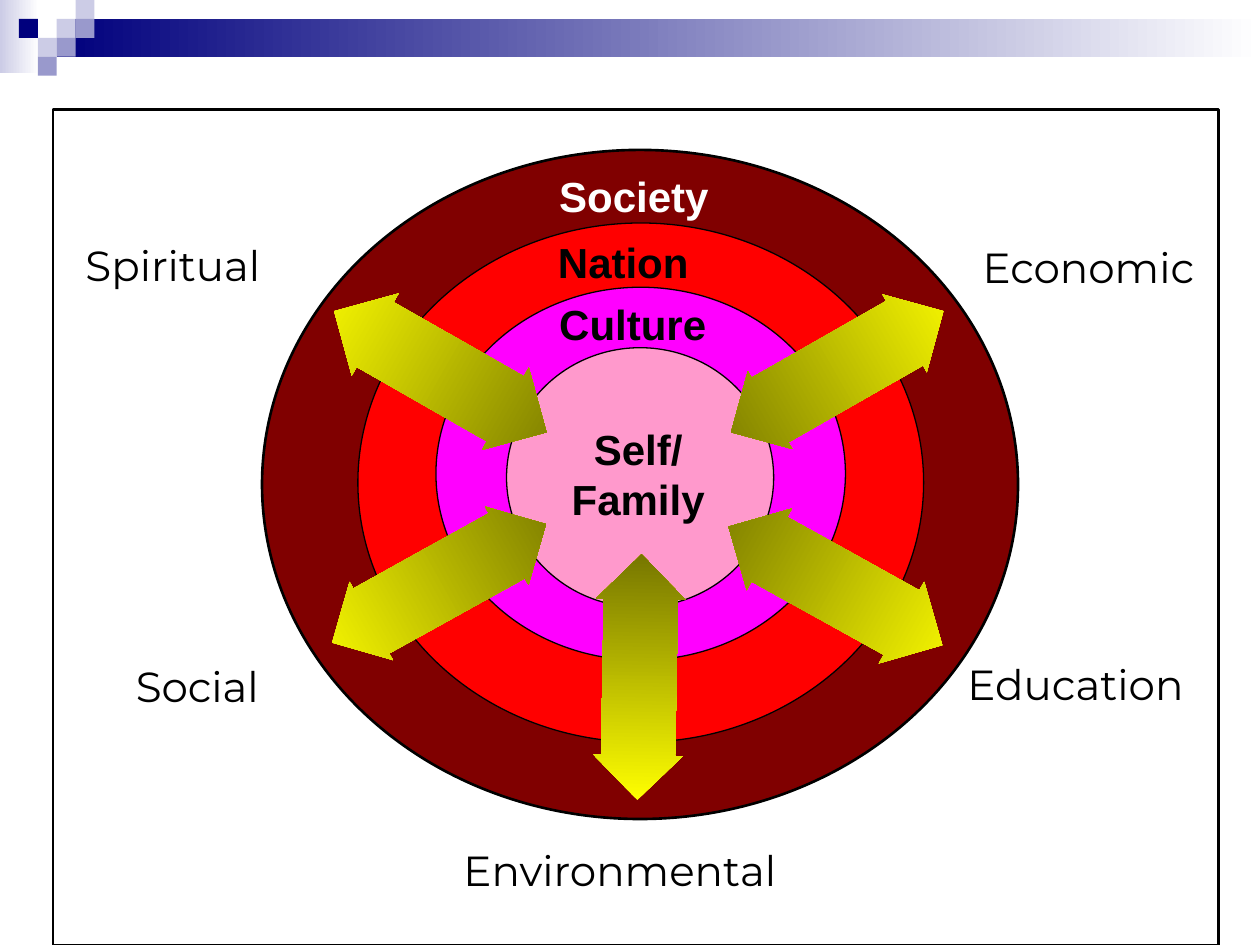
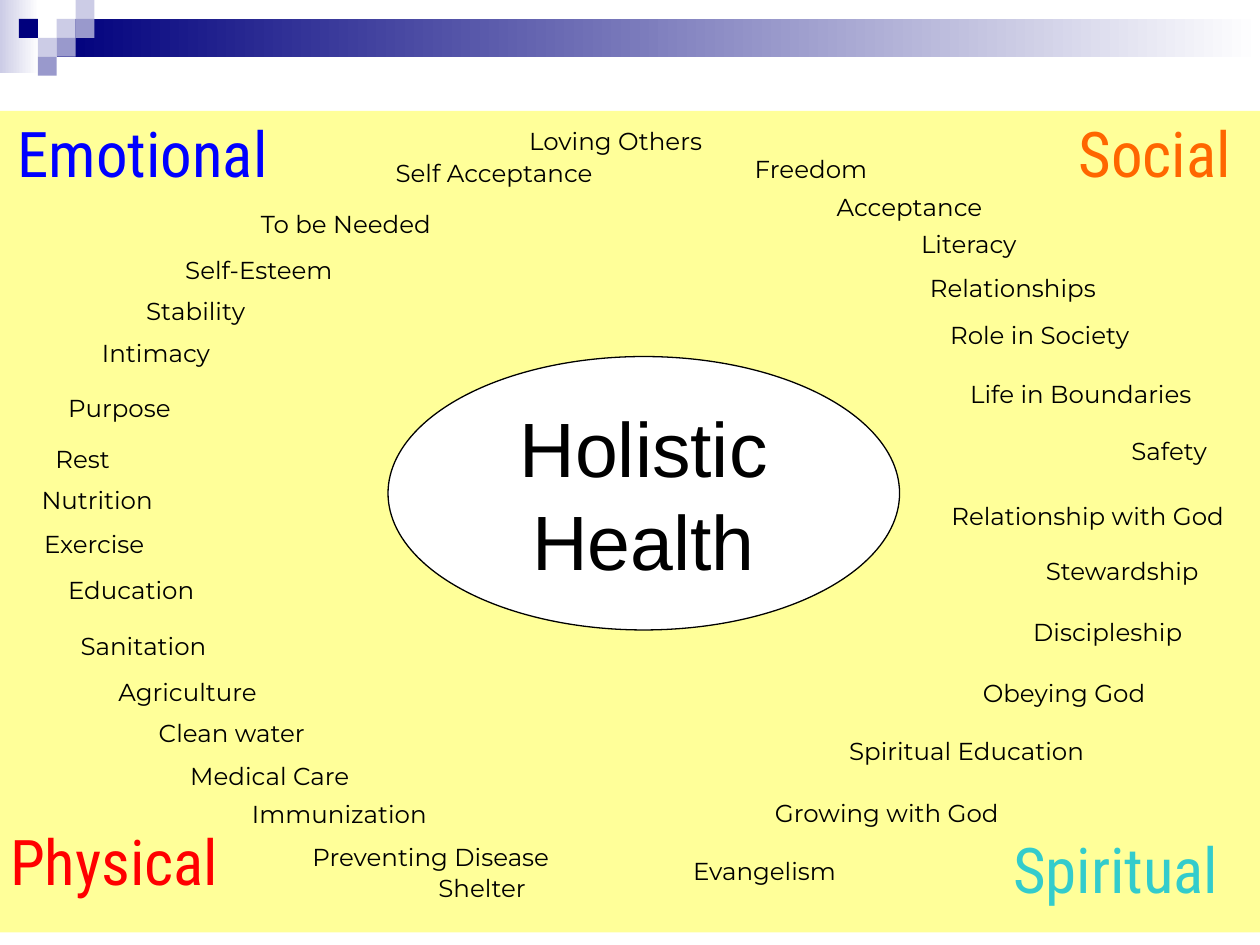
from dataclasses import dataclass

from pptx import Presentation
from pptx import util as u
from pptx.dml.color import RGBColor
from pptx.enum import shapes, text

PX = 9144  # EMU per px, 100 px to the inch
SLIDE_SIZE = (1000, 750)


@dataclass(frozen=True)
class Theme:
    black: str = "000000"
    white: str = "FFFFFF"
    navy: str = "00007D"
    lavender: str = "CCCCE6"
    periwinkle: str = "9999CC"
    maroon: str = "800000"
    red: str = "FF0000"
    magenta: str = "FF00FF"
    pink: str = "FF99CC"
    yellow: str = "FFFF00"
    olive: str = "767600"
    cream: str = "FFFF99"
    blue: str = "0000FF"
    orange: str = "FF6600"
    teal: str = "33CCCC"
    body_font: str = "Montserrat"
    heading_font: str = "Roboto Condensed"
    ring_font: str = "Arial"
    word_size: int = 14
    label_size: int = 24
    heading_size: int = 36
    centre_size: int = 44
    thin: float = 0.75
    thick: float = 1.5


THEME = Theme()
WIDE_INSETS = (10, 5)
TIGHT_INSETS = (6, 3)

# Column, row and colour of each square beside the band
BAND_SQUARES = [
    (3, 1, THEME.lavender), (4, 0, THEME.lavender), (4, 1, THEME.periwinkle),
    (2, 2, THEME.lavender), (1, 1, THEME.navy), (3, 2, THEME.periwinkle),
    (2, 3, THEME.periwinkle),
]

RINGS = [
    ((208, 119, 600, 531), THEME.maroon, THEME.thick),
    ((284, 177, 449, 412), THEME.red, THEME.thin),
    ((346, 228, 325, 296), THEME.magenta, THEME.thin),
    ((402, 276, 212, 206), THEME.pink, THEME.thin),
]
RING_LABELS = [
    ("Culture", (434, 232, 146, 41), THEME.black),
    ("Nation", (433, 183, 147, 39), THEME.black),
    ("Society", (434, 130, 146, 38), THEME.white),
]
INFLUENCES = [
    ("Spiritual", (58, 185, 192, 55)),
    ("Social", (98, 519, 144, 56)),
    ("Environmental", (358, 665, 297, 41)),
    ("Education", (758, 518, 209, 59)),
    ("Economic", (770, 187, 205, 48)),
]
# Box, rotation towards the outside, head length
ARROWS = [
    ((312, 198, 75, 194), 299.7, 0.79),
    ((626, 368, 74, 194), 119, 0.79),
    ((629, 198, 71, 194), 60.3, 0.83),
    ((313, 366, 71, 194), 241, 0.83),
    ((472, 440, 71, 195), 181, 0.83),
]

HEADINGS = [
    ("Emotional", (8, 88, 308, 62), THEME.blue),
    ("Social", (850, 88, 150, 80), THEME.orange),
    ("Spiritual", (798, 656, 202, 80), THEME.teal),
    ("Physical", (2, 650, 302, 80), THEME.red),
]
WORD_HEIGHT = 45
# Word, left, top, width
HEALTH_WORDS = [
    ("Loving Others", 414, 97, 187),
    ("Self Acceptance", 308, 122, 219),
    ("To be Needed", 201, 163, 219),
    ("Self-Esteem", 141, 199, 168),
    ("Stability", 110, 232, 129),
    ("Intimacy", 75, 265, 120),
    ("Purpose", 48, 309, 131),
    ("Rest", 38, 349, 89),
    ("Nutrition", 27, 382, 134),
    ("Exercise", 29, 417, 157),
    ("Education", 48, 453, 222),
    ("Sanitation", 58, 498, 134),
    ("Agriculture", 88, 534, 174),
    ("Clean water", 120, 567, 171),
    ("Medical Care", 145, 601, 158),
    ("Immunization", 194, 631, 164),
    ("Preventing Disease", 242, 665, 225),
    ("Shelter", 342, 690, 134),
    ("Freedom", 593, 119, 134),
    ("Acceptance", 658, 149, 173),
    ("Literacy", 725, 179, 122),
    ("Relationships", 732, 214, 160),
    ("Role in Society", 748, 251, 202),
    ("Life in Boundaries", 764, 298, 211),
    ("Safety", 892, 343, 93),
    ("Relationship with God", 749, 395, 251),
    ("Stewardship", 824, 438, 164),
    ("Discipleship", 814, 487, 169),
    ("Obeying God", 774, 535, 193),
    ("Spiritual Education", 668, 581, 240),
    ("Growing with God", 609, 630, 212),
    ("Evangelism", 544, 676, 148),
]


def emu(box):
    return [u.Emu(length * PX) for length in box]


def colour(value):
    return RGBColor.from_string(value)


def add_figure(parent, kind, box, fill, line_width=None):
    """Add a preset shape; a pair of colours as fill makes a gradient."""
    shape = parent.shapes.add_shape(kind, *emu(box))
    shape.shadow.inherit = False
    if isinstance(fill, tuple):
        shape.fill.gradient()
        for stop, value in zip(shape.fill.gradient_stops, fill):
            stop.color.rgb = colour(value)
    else:
        shape.fill.solid()
        shape.fill.fore_color.rgb = colour(fill)
    if line_width:
        shape.line.color.rgb = colour(THEME.black)
        shape.line.width = u.Pt(line_width)
    else:
        shape.line.fill.background()
    return shape


def write(shape, lines, font, size, ink=THEME.black, bold=False,
          insets=WIDE_INSETS, align=text.PP_ALIGN.LEFT,
          anchor=text.MSO_ANCHOR.TOP):
    frame = shape.text_frame
    frame.word_wrap = True
    frame.vertical_anchor = anchor
    frame.margin_left = frame.margin_right = u.Emu(insets[0] * PX)
    frame.margin_top = frame.margin_bottom = u.Emu(insets[1] * PX)
    paragraph = frame.paragraphs[0]
    paragraph.alignment = align
    for index, line in enumerate(lines):
        if index:
            paragraph.add_line_break()
        run = paragraph.add_run()
        run.text = line
        run.font.name = font
        run.font.size = u.Pt(size)
        run.font.bold = bold
        run.font.color.rgb = colour(ink)


def add_label(slide, label, box, font, size, **style):
    write(slide.shapes.add_textbox(*emu(box)), [label], font, size, **style)


def add_arrow(slide, box, rotation, head_length):
    arrow = add_figure(slide, shapes.MSO_SHAPE.UP_DOWN_ARROW, box,
                       (THEME.yellow, THEME.olive))
    arrow.fill.gradient_angle = 270
    arrow.adjustments[0] = 0.4
    arrow.adjustments[1] = head_length
    arrow.rotation = rotation


def add_band(slide):
    """Add the gradient band and its corner squares."""
    band = slide.shapes.add_group_shape()
    for box, start in (((0, 0, 31, 58), THEME.lavender),
                       ((45, 15, 955, 30), THEME.navy)):
        strip = add_figure(band, shapes.MSO_SHAPE.RECTANGLE, box,
                           (start, THEME.white))
        strip.fill.gradient_angle = 0
    side = 15
    for column, row, fill in BAND_SQUARES:
        add_figure(band, shapes.MSO_SHAPE.RECTANGLE,
                   (column * side, row * side, side, side), fill)


def add_banded_slide(presentation):
    slide = presentation.slides.add_slide(presentation.slide_layouts[6])
    add_band(slide)
    return slide


def build_rings_slide(presentation):
    slide = add_banded_slide(presentation)
    add_figure(slide, shapes.MSO_SHAPE.RECTANGLE, (42, 87, 925, 663),
               THEME.white, THEME.thick)
    for box, fill, line_width in RINGS:
        add_figure(slide, shapes.MSO_SHAPE.OVAL, box, fill, line_width)
    add_label(slide, "Self/ Family", (441, 331, 131, 75), THEME.ring_font,
              THEME.label_size, bold=True, align=text.PP_ALIGN.CENTER)
    for label, box, ink in RING_LABELS:
        add_label(slide, label, box, THEME.ring_font, THEME.label_size,
                  ink=ink, bold=True)
    for label, box in INFLUENCES:
        add_label(slide, label, box, THEME.body_font, THEME.label_size)
    for arrow in ARROWS:
        add_arrow(slide, *arrow)


def build_health_slide(presentation):
    slide = add_banded_slide(presentation)
    add_figure(slide, shapes.MSO_SHAPE.RECTANGLE, (0, 88, 1000, 652),
               THEME.cream)
    centre = add_figure(slide, shapes.MSO_SHAPE.OVAL, (308, 283, 406, 217),
                        THEME.white, THEME.thin)
    write(centre, ["Holistic", "Health"], THEME.ring_font, THEME.centre_size,
          insets=TIGHT_INSETS, align=text.PP_ALIGN.CENTER,
          anchor=text.MSO_ANCHOR.MIDDLE)
    for heading, box, ink in HEADINGS:
        add_label(slide, heading, box, THEME.heading_font, THEME.heading_size,
                  ink=ink, insets=TIGHT_INSETS)
    for word, left, top, width in HEALTH_WORDS:
        add_label(slide, word, (left, top, width, WORD_HEIGHT),
                  THEME.body_font, THEME.word_size, insets=TIGHT_INSETS)


def main():
    presentation = Presentation()
    presentation.slide_width, presentation.slide_height = emu(SLIDE_SIZE)
    build_rings_slide(presentation)
    build_health_slide(presentation)
    presentation.save("out.pptx")


if __name__ == "__main__":
    main()
